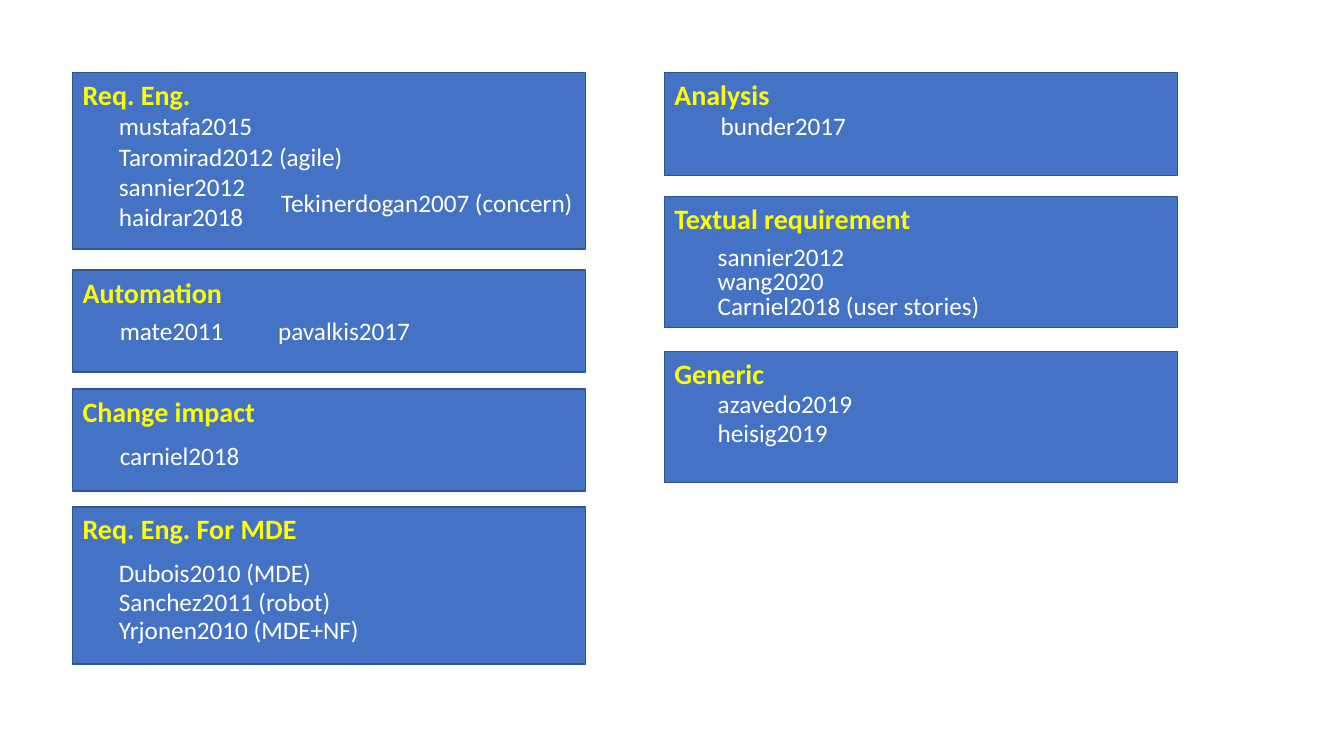
from dataclasses import dataclass

from pptx import Presentation
from pptx.dml.color import RGBColor
from pptx.enum import shapes, text
from pptx.util import Inches, Pt


@dataclass(frozen=True)
class Theme:
    font: str = "Calibri"
    fill: RGBColor = RGBColor(0x44, 0x72, 0xC4)
    outline: RGBColor = RGBColor(0x32, 0x54, 0x91)
    heading: RGBColor = RGBColor(0xFF, 0xFF, 0x00)
    citation: RGBColor = RGBColor(0xFF, 0xFF, 0xFF)
    heading_size: int = 20
    citation_size: int = 18
    line_width: int = 1


@dataclass(frozen=True)
class Citation:
    key: str
    width: float


@dataclass(frozen=True)
class CitationList:
    left: float
    top: float
    citations: tuple[Citation, ...]
    pitch: float = 0.3


@dataclass(frozen=True)
class Topic:
    title: str
    left: float
    top: float
    height: float
    lists: tuple[CitationList, ...]


THEME = Theme()
LEFT_COLUMN, RIGHT_COLUMN = 0.72, 6.59
TOPIC_WIDTH, CITATION_HEIGHT = 5.09, 0.4

TOPICS = (
    # Left column
    Topic("Req. Eng.", LEFT_COLUMN, 0.72, 1.75, (
        CitationList(1.08, 1.05, (
            Citation("mustafa2015", 1.54),
            Citation("Taromirad2012 (agile)", 2.44),
            Citation("sannier2012", 1.47),
            Citation("haidrar2018", 1.45))),
        CitationList(2.69, 1.81, (Citation("Tekinerdogan2007 (concern)", 3.13),)))),
    Topic("Automation", LEFT_COLUMN, 2.68, 1.01, (
        CitationList(1.09, 3.08, (Citation("mate2011", 1.24),)),
        CitationList(2.66, 3.08, (Citation("pavalkis2017", 1.52),)))),
    Topic("Change impact", LEFT_COLUMN, 3.86, 1.01, (
        CitationList(1.09, 4.32, (Citation("carniel2018", 1.4),)),)),
    Topic("Req. Eng. For MDE", LEFT_COLUMN, 5.03, 1.56, (
        CitationList(1.08, 5.48, (
            Citation("Dubois2010 (MDE)", 2.13),
            Citation("Sanchez2011 (robot)", 2.33),
            Citation("Yrjonen2010 (MDE+NF)", 2.61)), pitch=0.285),)),
    # Right column
    Topic("Analysis", RIGHT_COLUMN, 0.72, 1.02, (
        CitationList(7.05, 1.05, (Citation("bunder2017", 1.46),)),)),
    Topic("Textual requirement", RIGHT_COLUMN, 1.95, 1.3, (
        CitationList(7.02, 2.34, (
            Citation("sannier2012", 1.47),
            Citation("wang2020", 1.27),
            Citation("Carniel2018 (user stories)", 2.83)), pitch=0.245),)),
    Topic("Generic", RIGHT_COLUMN, 3.49, 1.3, (
        CitationList(7.02, 3.8, (
            Citation("azavedo2019", 1.55),
            Citation("heisig2019", 1.31)), pitch=0.29),)),
)


def write(frame, content: str, size: int, color: RGBColor, bold: bool = False) -> None:
    frame.text = content
    frame.vertical_anchor = text.MSO_ANCHOR.TOP
    para = frame.paragraphs[0]
    para.alignment = text.PP_ALIGN.LEFT
    font = para.runs[0].font
    font.name, font.size, font.bold = THEME.font, Pt(size), bold
    font.color.rgb = color


def draw_panel(page, topic: Topic) -> None:
    panel = page.shapes.add_shape(
        shapes.MSO_SHAPE.RECTANGLE, Inches(topic.left), Inches(topic.top),
        Inches(TOPIC_WIDTH), Inches(topic.height))
    panel.shadow.inherit = False
    panel.fill.solid()
    panel.fill.fore_color.rgb = THEME.fill
    panel.line.color.rgb = THEME.outline
    panel.line.width = Pt(THEME.line_width)
    write(panel.text_frame, topic.title, THEME.heading_size, THEME.heading, bold=True)


def draw_citations(page, group: CitationList) -> None:
    for row, citation in enumerate(group.citations):
        box = page.shapes.add_textbox(
            Inches(group.left), Inches(group.top + row * group.pitch),
            Inches(citation.width), Inches(CITATION_HEIGHT))
        frame = box.text_frame
        frame.word_wrap = False
        frame.auto_size = text.MSO_AUTO_SIZE.SHAPE_TO_FIT_TEXT
        write(frame, citation.key, THEME.citation_size, THEME.citation)


# Slide setup
deck = Presentation()
deck.slide_width, deck.slide_height = Inches(13.33), Inches(7.5)
page = deck.slides.add_slide(deck.slide_layouts[6])

# Topic panels with their citations
for topic in TOPICS:
    draw_panel(page, topic)
    for group in topic.lists:
        draw_citations(page, group)

deck.save("out.pptx")
